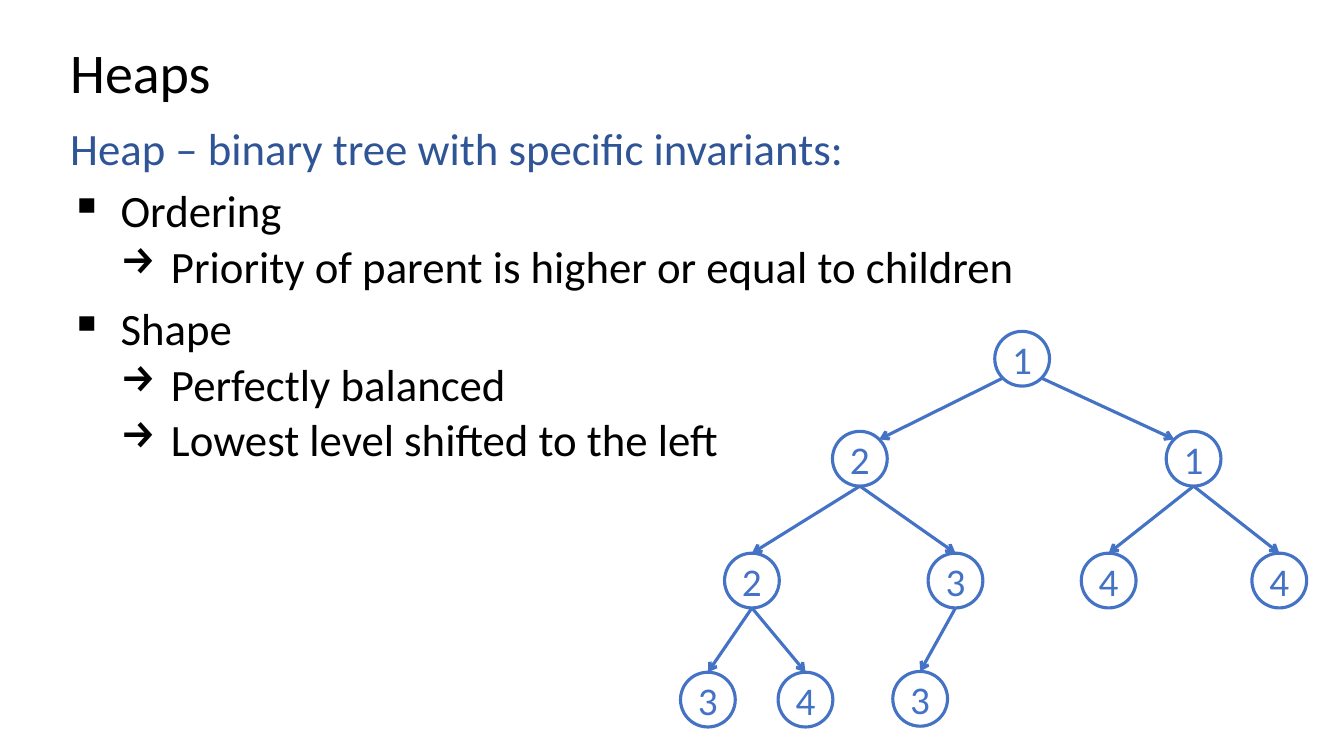
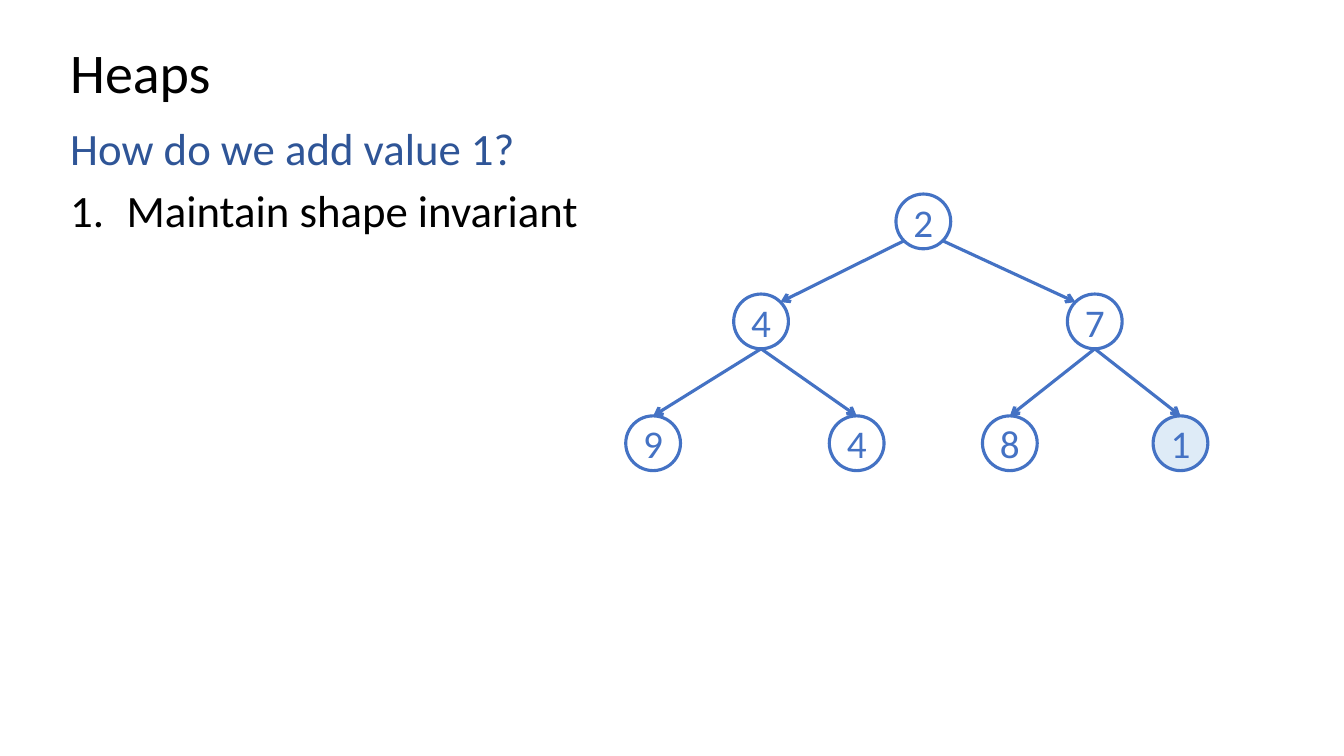
import math

from lxml import etree
from pptx import Presentation
from pptx import util as u
from pptx.dml.color import RGBColor
from pptx.enum import shapes, text
from pptx.oxml.ns import qn

# Shared style
FONT = "Calibri"
BLACK = RGBColor(0x00, 0x00, 0x00)
WHITE = RGBColor(0xFF, 0xFF, 0xFF)
HEADING = RGBColor(0x2F, 0x55, 0x97)
BLUE = RGBColor(0x44, 0x72, 0xC4)
PALE_BLUE = RGBColor(0xDE, 0xEB, 0xF7)
LEFT, WIDTH = 1.52, 29.21
STROKE = u.Pt(2.25)

# Paragraph kinds: level, text indent and space before, bullet
HEAD = (0, 0, 10, None)
ITEM = (0, 1.27, 10, "▪")
SUB = (1, 2.54, 5, "→")
NUMBER = (0, 1.42, 10, "auto")

# Node centres relative to the root, in heap order
NODE = 1.38
OFFSETS = [(0, 0), (-4.09, 2.52), (4.32, 2.52),
           (-6.81, 5.59), (-1.68, 5.59), (2.18, 5.59), (6.48, 5.59),
           (-7.92, 8.59), (-5.46, 8.59), (-2.57, 8.57)]


def add_run(p, words, size, color):
    r = p.add_run()
    r.text = words
    r.font.name, r.font.size = FONT, u.Pt(size)
    r.font.color.rgb = color


def add_box(s, top, height):
    tf = s.shapes.add_textbox(u.Cm(LEFT), u.Cm(top), u.Cm(WIDTH), u.Cm(height)).text_frame
    tf.word_wrap = True
    return tf


def add_title(s, words):
    tf = add_box(s, 1.02, 1.75)
    tf.vertical_anchor = text.MSO_ANCHOR.MIDDLE
    p = tf.paragraphs[0]
    p.line_spacing = 0.9
    add_run(p, words, 40, BLACK)


def set_bullet(p, indent, hang, bullet):
    pPr = p._p.get_or_add_pPr()
    pPr.set("marL", str(u.Cm(indent)))
    pPr.set("indent", str(-u.Cm(hang)))
    if bullet == "auto":
        etree.SubElement(pPr, qn("a:buAutoNum"), type="arabicPeriod")
    else:
        etree.SubElement(pPr, qn("a:buChar"), char=bullet)


def add_body(s, lines):
    tf = add_box(s, 3.07, 9.17)
    for i, (kind, words) in enumerate(lines):
        level, indent, before, bullet = kind
        p = tf.add_paragraph() if i else tf.paragraphs[0]
        p.level, p.line_spacing, p.space_before = level, 0.9, u.Pt(before)
        if bullet:
            set_bullet(p, indent, indent / (level + 1), bullet)
        add_run(p, words, 32, BLACK if bullet else HEADING)


def add_node(s, x, y, value, fill):
    sp = s.shapes.add_shape(shapes.MSO_SHAPE.OVAL, u.Cm(x - NODE / 2), u.Cm(y - NODE / 2),
                            u.Cm(NODE), u.Cm(NODE))
    sp.shadow.inherit = False
    sp.fill.solid()
    sp.fill.fore_color.rgb = fill
    sp.line.color.rgb, sp.line.width = BLUE, STROKE
    tf = sp.text_frame
    tf.margin_left = tf.margin_right = tf.margin_top = tf.margin_bottom = 0
    tf.vertical_anchor = text.MSO_ANCHOR.MIDDLE
    p = tf.paragraphs[0]
    p.alignment = text.PP_ALIGN.CENTER
    add_run(p, str(value), 28, BLUE)


def add_arrow(s, x1, y1, x2, y2):
    cx = s.shapes.add_connector(shapes.MSO_CONNECTOR.STRAIGHT,
                                u.Cm(x1), u.Cm(y1), u.Cm(x2), u.Cm(y2))
    cx.line.color.rgb, cx.line.width = BLUE, STROKE
    etree.SubElement(cx.line._get_or_add_ln(), qn("a:tailEnd"), type="arrow")
    etree.SubElement(cx._element.spPr, qn("a:effectLst"))


def add_heap(s, root_x, root_y, values, new=None):
    centres = [(root_x + dx, root_y + dy) for dx, dy in OFFSETS[:len(values)]]
    for i, ((x, y), value) in enumerate(zip(centres, values)):
        add_node(s, x, y, value, PALE_BLUE if i == new else WHITE)
    # Root edges join the circles diagonally, lower edges bottom to top
    radius = NODE / 2
    diagonal = radius * math.sqrt(0.5)
    for i in range(1, len(centres)):
        parent = (i - 1) // 2
        (x1, y1), (x2, y2) = centres[parent], centres[i]
        if parent == 0:
            dx, dy = math.copysign(diagonal, x2 - x1), diagonal
        else:
            dx, dy = 0, radius
        add_arrow(s, x1 + dx, y1 + dy, x2 - dx, y2 - dy)


def add_slide(prs, lines):
    s = prs.slides.add_slide(prs.slide_layouts[6])
    add_title(s, "Heaps")
    add_body(s, lines)
    return s


def main():
    prs = Presentation()
    prs.slide_width, prs.slide_height = u.Cm(33.87), u.Cm(19.05)

    # Invariants
    s = add_slide(prs, [
        (HEAD, "Heap – binary tree with specific invariants:"),
        (ITEM, "Ordering"),
        (SUB, "Priority of parent is higher or equal to children"),
        (ITEM, "Shape"),
        (SUB, "Perfectly balanced"),
        (SUB, "Lowest level shifted to the left"),
    ])
    add_heap(s, 25.76, 9.04, [1, 2, 1, 2, 3, 4, 4, 3, 4, 3])

    # Adding a value
    s = add_slide(prs, [
        (HEAD, "How do we add value 1?"),
        (NUMBER, "Maintain shape invariant"),
    ])
    add_heap(s, 23.27, 5.58, [2, 4, 7, 9, 4, 8, 1], new=6)

    prs.save("out.pptx")


main()
